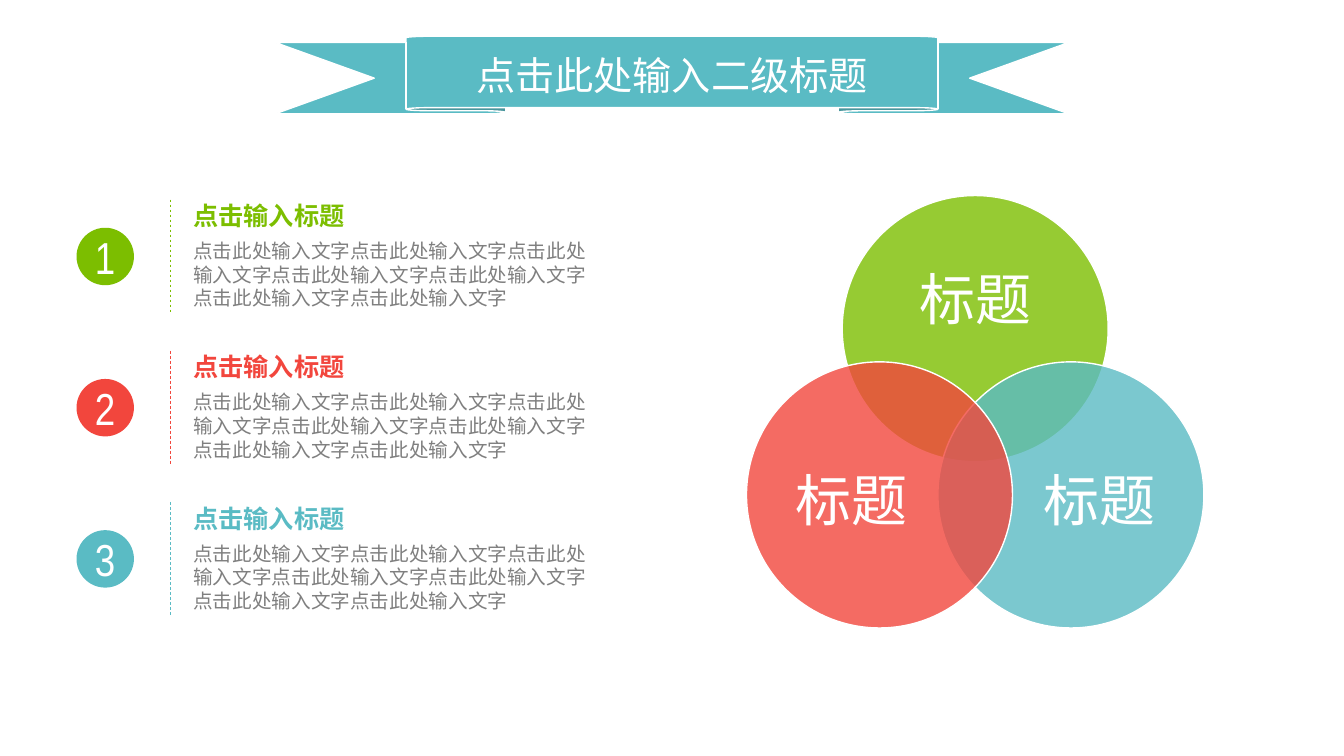
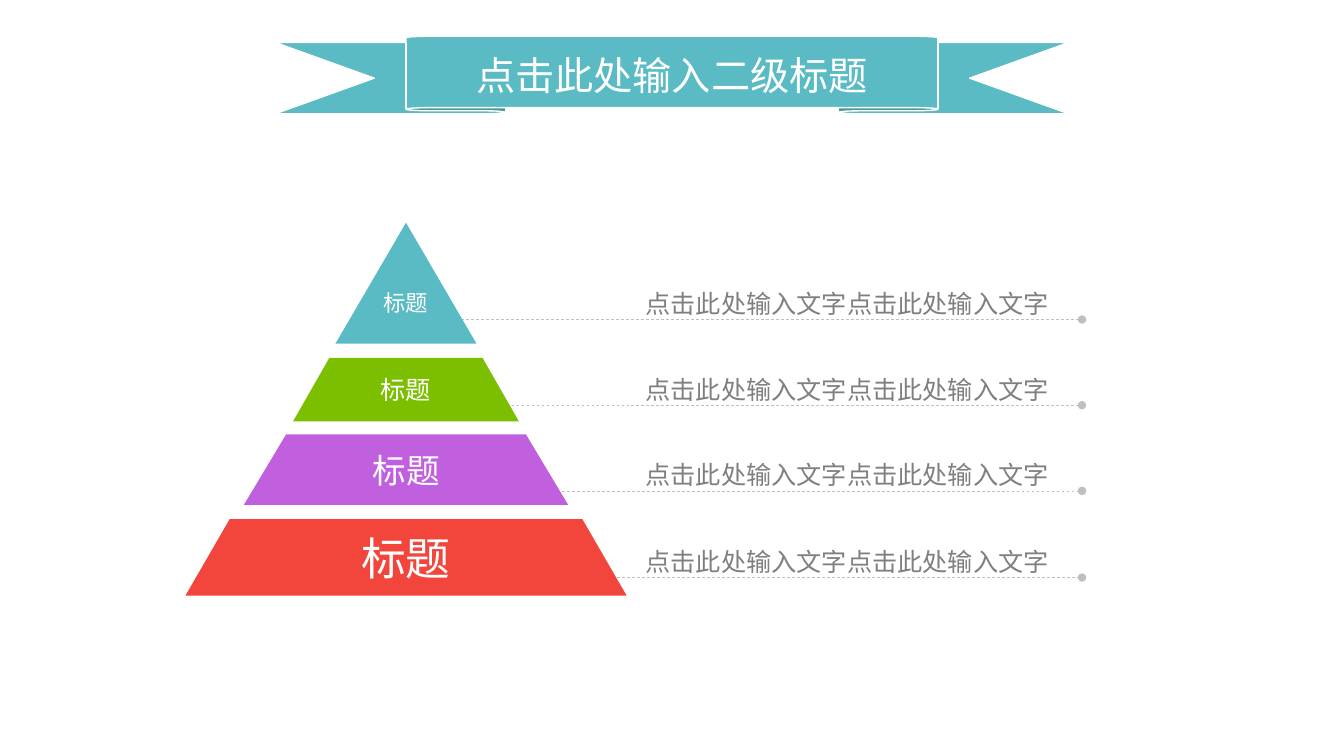
from dataclasses import dataclass

from lxml.etree import SubElement
from pptx import Presentation
from pptx.dml.color import RGBColor
from pptx.enum.dml import MSO_LINE
from pptx.enum.shapes import MSO_CONNECTOR, MSO_SHAPE
from pptx.enum.text import MSO_ANCHOR, PP_ALIGN
from pptx.oxml.ns import qn
from pptx.util import Pt

EMU_PER_PX = 9144


@dataclass(frozen=True)
class Theme:
    teal: str = "5ABBC4"
    green: str = "7CBE00"
    red: str = "F2463D"
    purple: str = "C160DE"
    white: str = "FFFFFF"
    body_grey: str = "7F7F7F"
    rule_grey: str = "BFBFBF"
    main_font: str = "Noto Sans CJK SC"
    text_font: str = "Calibri"
    number_font: str = "Arial Narrow"
    title_size: int = 28
    venn_size: int = 40
    number_size: int = 32
    heading_size: int = 18
    body_size: int = 14
    leader_size: int = 18
    level_sizes: tuple = (16, 18, 24, 32)


THEME = Theme()
TITLE = "点击此处输入二级标题"
HEADING = "点击输入标题"
LABEL = "标题"
PHRASE = "点击此处输入文字"


def px(*lengths):
    return [round(length * EMU_PER_PX) for length in lengths]


def write(shape, text, size, color, font=THEME.main_font, bold=False,
          align=PP_ALIGN.CENTER, anchor=MSO_ANCHOR.MIDDLE, insets=(10, 5, 10, 5),
          wrap=True, line_spacing=None, space_before=None, append=False):
    frame = shape.text_frame
    frame.word_wrap = wrap
    frame.vertical_anchor = anchor
    (frame.margin_left, frame.margin_top,
     frame.margin_right, frame.margin_bottom) = px(*insets)
    paragraph = frame.add_paragraph() if append else frame.paragraphs[0]
    paragraph.alignment = align
    if line_spacing:
        paragraph.line_spacing = line_spacing
    if space_before:
        paragraph.space_before = Pt(space_before)
    run = paragraph.add_run()
    run.text = text
    run.font.size = Pt(size)
    run.font.name = font
    run.font.bold = bold
    run.font.color.rgb = RGBColor.from_string(color)


def paint(shape, color, outline=None, opacity=100):
    shape.shadow.inherit = False
    shape.fill.solid()
    shape.fill.fore_color.rgb = RGBColor.from_string(color)
    if opacity < 100:
        fill_color = shape.fill._xPr.find(qn("a:solidFill"))[0]
        SubElement(fill_color, qn("a:alpha"), val=str(opacity * 1000))
    if outline:
        shape.line.color.rgb = RGBColor.from_string(outline)
        shape.line.width = Pt(1)
    else:
        shape.line.fill.background()
    return shape


def draw_dashes(slide, start, end, color, dot=False):
    dashes = slide.shapes.add_connector(MSO_CONNECTOR.STRAIGHT, *px(*start, *end))
    dashes.line.color.rgb = RGBColor.from_string(color)
    dashes.line.width = Pt(0.5)
    dashes.line.dash_style = MSO_LINE.DASH
    properties = dashes._element.spPr
    if dot:
        SubElement(properties.find(qn("a:ln")), qn("a:tailEnd"), type="oval")
    SubElement(properties, qn("a:effectLst"))


def draw_title(slide, left, top, width, height):
    ribbon = slide.shapes.add_shape(MSO_SHAPE.UP_RIBBON, *px(left, top, width, height))
    ribbon.adjustments[0] = 0.08
    ribbon.adjustments[1] = 0.67
    paint(ribbon, THEME.teal, outline=THEME.white)
    title = slide.shapes.add_textbox(*px(left + 190, top + 10, width - 380, height - 20))
    write(title, TITLE, THEME.title_size, THEME.white, wrap=False)


def draw_step(slide, left, top, number, color):
    badge = slide.shapes.add_shape(MSO_SHAPE.OVAL, *px(left, top + 32, 57, 57))
    paint(badge, color)
    write(badge, str(number), THEME.number_size, THEME.white,
          font=THEME.number_font, insets=(0, 0, 0, 0), wrap=False)
    draw_dashes(slide, (left + 93, top + 4), (left + 93, top + 116), color)
    detail = slide.shapes.add_textbox(*px(left + 106, top, 418, 119))
    layout = dict(font=THEME.text_font, align=PP_ALIGN.LEFT, anchor=MSO_ANCHOR.TOP)
    write(detail, HEADING, THEME.heading_size, color, bold=True, **layout)
    write(detail, PHRASE * 7, THEME.body_size, THEME.body_grey,
          space_before=6, append=True, **layout)


def draw_steps(slide, left, top, pitch):
    for index, color in enumerate((THEME.green, THEME.red, THEME.teal)):
        draw_step(slide, left, top + index * pitch, index + 1, color)


def draw_venn(slide, left, top, width, height, diameter):
    far_x, far_y = width - diameter, height - diameter
    circles = (
        (far_x / 2, 0, THEME.green, (0, 0, 0, 53)),
        (far_x, far_y, THEME.teal, (56, 17, 0, 0)),
        (0, far_y, THEME.red, (0, 17, 56, 0)),
    )
    for x, y, color, insets in circles:
        circle = slide.shapes.add_shape(
            MSO_SHAPE.OVAL, *px(left + x, top + y, diameter, diameter))
        paint(circle, color, outline=THEME.white, opacity=80)
        write(circle, LABEL, THEME.venn_size, THEME.white, font=THEME.text_font,
              insets=insets, line_spacing=0.9)


def draw_leaders(slide, left, top, right, height):
    for index in range(4):
        y = top + index * height // 3
        draw_dashes(slide, (left + 40 * index, y), (right, y), THEME.rule_grey, dot=True)
        caption = slide.shapes.add_textbox(*px(right - 443, y - 42, 438, 46))
        write(caption, PHRASE * 2, THEME.leader_size, THEME.body_grey,
              align=PP_ALIGN.LEFT, anchor=MSO_ANCHOR.TOP, line_spacing=1.2)


def draw_pyramid(slide, left, top, width):
    center = left + width / 2
    levels = (
        (0, 120, 0, 70, THEME.teal, (0, 39, 0, 0)),
        (134, 197, 76, 112, THEME.green, (10, 5, 10, 5)),
        (210, 280, 119, 161, THEME.purple, (10, 5, 10, 5)),
        (294, 370, 175, 219, THEME.red, (10, 5, 10, 5)),
    )
    for level, size in zip(levels, THEME.level_sizes):
        upper, lower, half_upper, half_lower, color, insets = level
        outline = slide.shapes.build_freeform(
            center - half_lower, top + lower, scale=EMU_PER_PX)
        outline.add_line_segments((
            (center - half_upper, top + upper),
            (center + half_upper, top + upper),
            (center + half_lower, top + lower),
        ))
        tier = paint(outline.convert_to_shape(), color)
        write(tier, LABEL, size, THEME.white, insets=insets)


def add_titled_slide(deck):
    slide = deck.slides.add_slide(deck.slide_layouts[6])
    draw_title(slide, 273, 36, 788, 77)
    return slide


def build_venn_slide(deck):
    slide = add_titled_slide(deck)
    draw_venn(slide, 741, 194, 454, 429, diameter=264)
    draw_steps(slide, 76, 194, pitch=150)


def build_pyramid_slide(deck):
    slide = add_titled_slide(deck)
    draw_leaders(slide, 438, 317, right=1074, height=256)
    draw_pyramid(slide, 184, 221, 438)


def main():
    deck = Presentation()
    deck.slide_width, deck.slide_height = px(1334, 750)
    build_venn_slide(deck)
    build_pyramid_slide(deck)
    deck.save("out.pptx")


if __name__ == "__main__":
    main()
